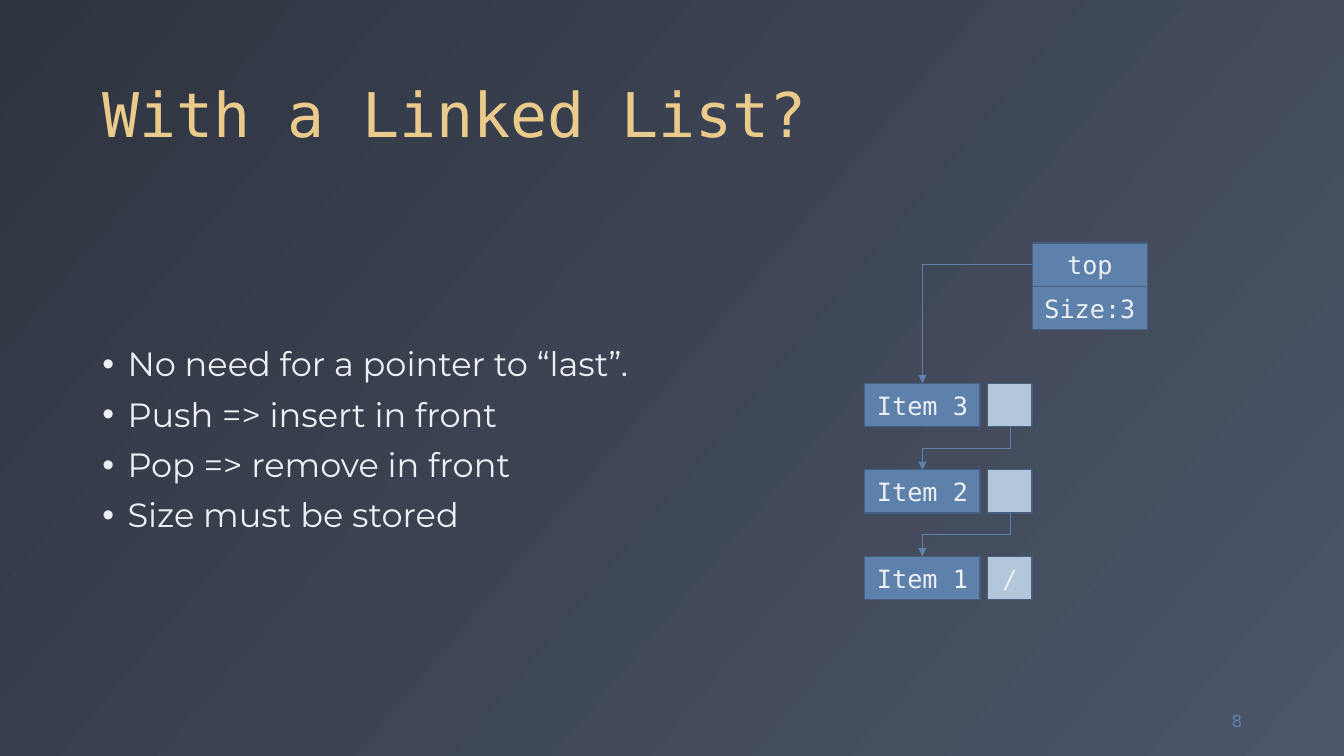
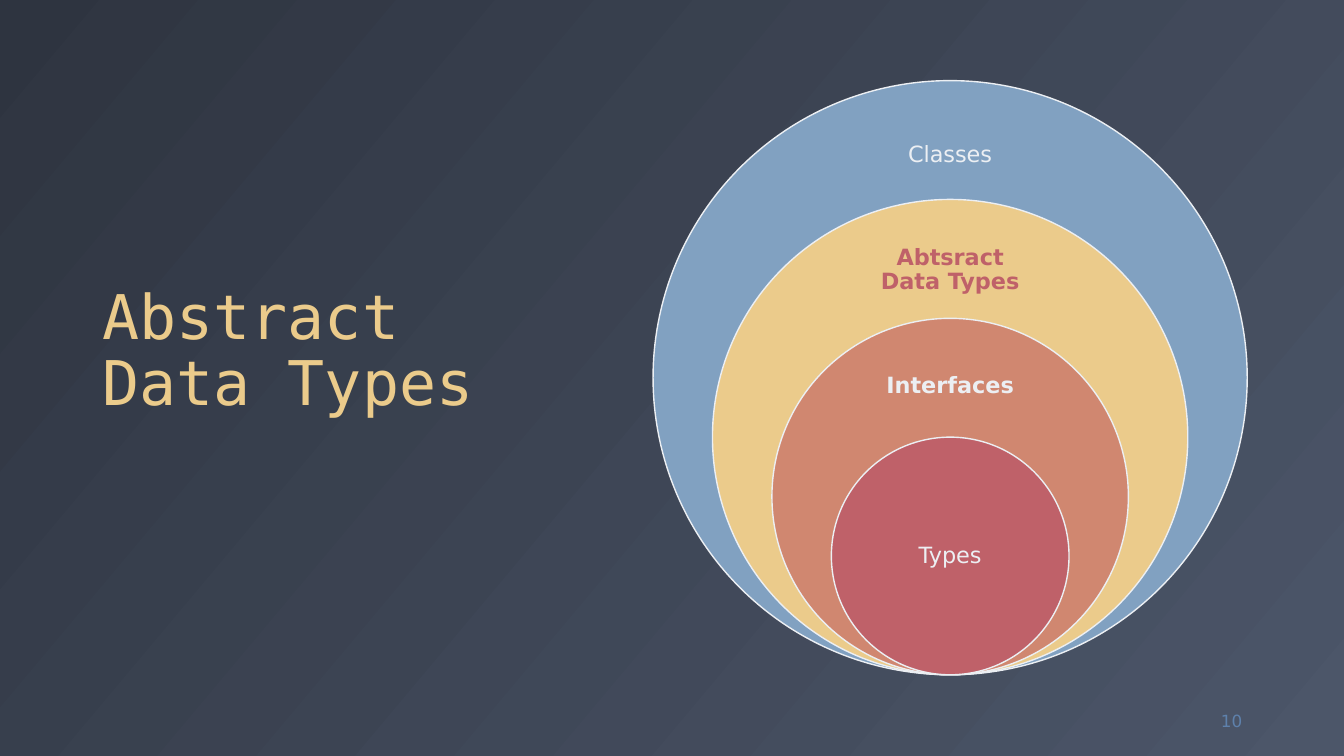
"""Build two slides: a stack as a linked list, and nested kinds of types."""
from lxml.etree import SubElement
from pptx import Presentation
from pptx.dml.color import RGBColor
from pptx.enum.shapes import MSO_CONNECTOR, MSO_SHAPE
from pptx.enum.text import MSO_ANCHOR, MSO_AUTO_SIZE, PP_ALIGN
from pptx.oxml.ns import qn
from pptx.util import Pt

COLORS = {
    "dark": "2E3440", "slate": "4C5669", "gold": "EBCB8B", "light": "ECEFF3",
    "blue": "5E81AC", "edge": "465F7F", "pale": "B3C7DA", "sky": "81A1C1",
    "orange": "D08770", "red": "BF6169",
}
RGB = {name: RGBColor.from_string(value) for name, value in COLORS.items()}
SANS, MONO, BODY = "DejaVu Sans", "DejaVu Sans Mono", "Montserrat"


def write(sp, text, font, size, color, align=PP_ALIGN.LEFT, anchor=MSO_ANCHOR.MIDDLE,
          spacing=1.0, bold=False):
    tf = sp.text_frame
    tf.text = text
    tf.word_wrap = True
    tf.auto_size = MSO_AUTO_SIZE.NONE
    tf.vertical_anchor = anchor
    for p in tf.paragraphs:
        p.alignment = align
        p.line_spacing = spacing
        for r in p.runs:
            r.font.name, r.font.size, r.font.bold = font, Pt(size), bold
            r.font.color.rgb = RGB[color]
    return tf


def add_block(s, shape, left, top, width, height, fill, line):
    sp = s.shapes.add_shape(shape, Pt(left), Pt(top), Pt(width), Pt(height))
    sp.shadow.inherit = False
    sp.fill.solid()
    sp.fill.fore_color.rgb = RGB[fill]
    sp.line.color.rgb = RGB[line]
    sp.line.width = Pt(1)
    return sp


prs = Presentation()
prs.slide_width, prs.slide_height = Pt(960), Pt(540)

fill = prs.slide_master.background.fill
fill.gradient()
fill.gradient_angle = 320
for stop, name in zip(fill.gradient_stops, ("dark", "slate")):
    stop.color.rgb = RGB[name]

slides = []
for title, width, height, number in (("With a Linked List?", 828, 98, "8"),
                                     ("Abstract Data Types", 347, 290, "10")):
    s = prs.slides.add_slide(prs.slide_layouts[5])
    sp = s.shapes.title
    sp.left, sp.top, sp.width, sp.height = Pt(66), Pt(13), Pt(width), Pt(height)
    write(sp, title, MONO, 44, "gold", anchor=MSO_ANCHOR.BOTTOM, spacing=0.9)
    sp = s.shapes.add_textbox(Pt(834.5), Pt(500.5), Pt(60), Pt(28.75))
    write(sp, number, SANS, 12, "blue", PP_ALIGN.RIGHT)
    slides.append(s)
list_slide, types_slide = slides

points = ["No need for a pointer to “last”.", "Push => insert in front",
          "Pop => remove in front", "Size must be stored"]
sp = list_slide.shapes.add_textbox(Pt(66), Pt(144), Pt(408), Pt(342.5))
tf = write(sp, "\n".join(points), BODY, 24, "light", spacing=0.9)
for p in tf.paragraphs:
    p.space_before = Pt(10)
    pPr = p._p.get_or_add_pPr()
    pPr.set("marL", str(Pt(18)))
    pPr.set("indent", str(-Pt(18)))
    SubElement(pPr, qn("a:buFont"), typeface="Arial")
    SubElement(pPr, qn("a:buChar"), char="•")

CELL_W, CELL_H, LINK_W = 82.4, 31, 31.7
ITEM_X, LINK_X, HEAD_X = 617.7, 705.6, 737.3
HEAD_Y, ITEM_Y, ITEM_STEP = 173.5, 273.8, 61.8

cells = [("top", HEAD_X, HEAD_Y, CELL_W, "blue"),
         ("Size:3", HEAD_X, HEAD_Y + CELL_H, CELL_W, "blue")]
for row, (item, link) in enumerate((("Item 3", ""), ("Item 2", ""), ("Item 1", "/"))):
    y = ITEM_Y + row * ITEM_STEP
    cells += [(item, ITEM_X, y, CELL_W, "blue"), (link, LINK_X, y, LINK_W, "pale")]

blocks = []
for text, x, y, width, color in cells:
    sp = add_block(list_slide, MSO_SHAPE.RECTANGLE, x, y, width, CELL_H, color, "edge")
    write(sp, text, MONO, 18, "light", PP_ALIGN.CENTER)
    blocks.append(sp)
head, _, item3, link3, item2, link2, item1, _ = blocks

TOP, LEFT, BOTTOM = 0, 1, 2
for source, site, target in ((head, LEFT, item3), (link3, BOTTOM, item2),
                             (link2, BOTTOM, item1)):
    c = list_slide.shapes.add_connector(MSO_CONNECTOR.ELBOW, 0, 0, 0, 0)
    c.begin_connect(source, site)
    c.end_connect(target, TOP)
    c.line.color.rgb = RGB["blue"]
    c.line.width = Pt(0.5)
    SubElement(c.line._ln, qn("a:tailEnd"), type="triangle")
    spPr = c._element.spPr
    SubElement(spPr, qn("a:effectLst"))
    xfrm = spPr.find(qn("a:xfrm"))
    xfrm.attrib.pop("flipH", None)
    if site == LEFT:
        spPr.find(qn("a:prstGeom")).set("prst", "bentConnector2")
        xfrm.set("rot", str(180 * 60000))
        xfrm.set("flipV", "1")
    else:
        xfrm.set("rot", str(90 * 60000))
        w, h = c.width, c.height
        c.left, c.top = c.left + (w - h) // 2, c.top + (h - w) // 2
        c.width, c.height = h, w

CENTER_X, BASE_Y, DIAMETER, LABEL_W = 678.7, 482, 424.4, 119
rings = [("Classes", "sky", "light", False, 79.2, 63.4),
         ("Abtsract Data Types", "gold", "red", True, 162.7, 61.2),
         ("Interfaces", "orange", "light", True, 247, 57.6),
         ("Types", "red", "light", False, 355, 85)]
for i, (text, color, ink, bold, top, height) in enumerate(rings):
    d = DIAMETER * (1 - 0.2 * i)
    add_block(types_slide, MSO_SHAPE.OVAL, CENTER_X - d / 2, BASE_Y - d, d, d, color, "light")
    sp = types_slide.shapes.add_textbox(Pt(CENTER_X - LABEL_W / 2), Pt(top),
                                        Pt(LABEL_W), Pt(height))
    tf = write(sp, text, SANS, 16, ink, PP_ALIGN.CENTER, spacing=0.9, bold=bold)
    tf.margin_left = tf.margin_right = tf.margin_top = tf.margin_bottom = Pt(8.5)

prs.save("out.pptx")
